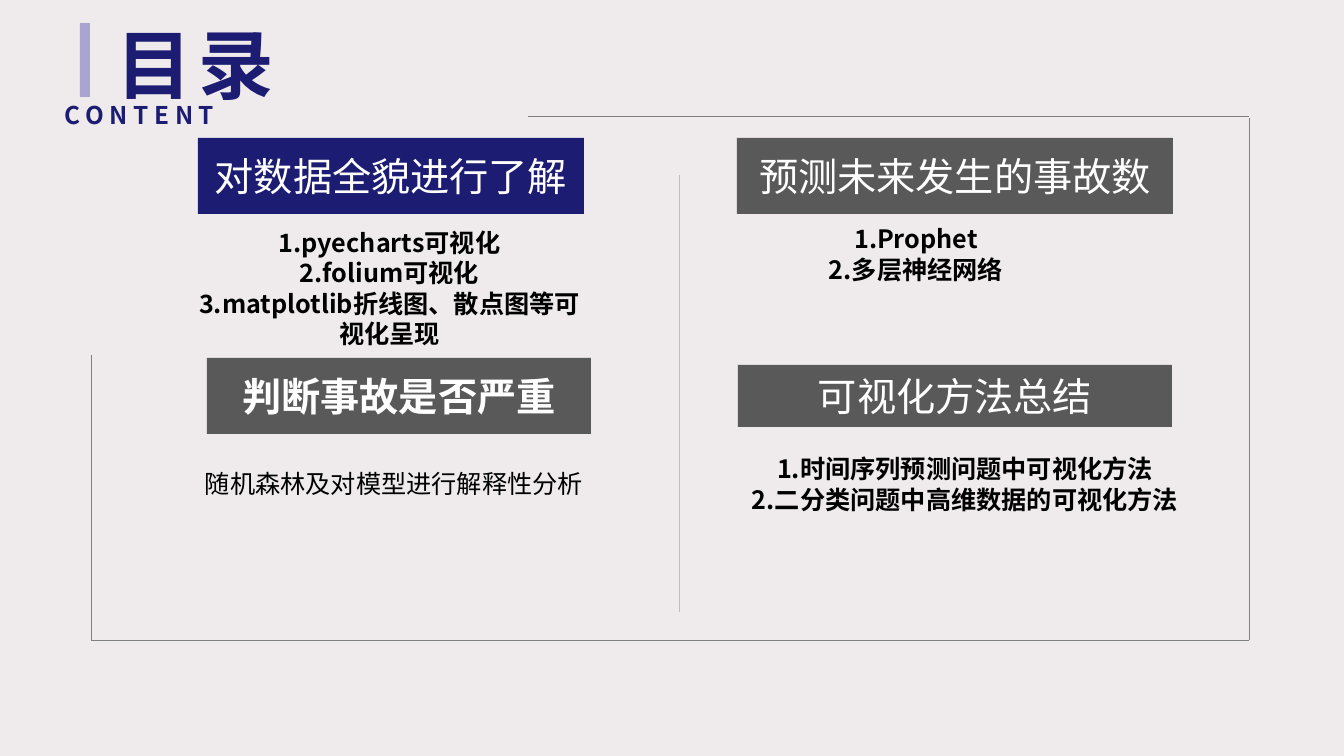
from lxml import etree
from pptx import Presentation
from pptx.dml.color import RGBColor
from pptx.enum.shapes import MSO_CONNECTOR, MSO_SHAPE
from pptx.enum.text import MSO_ANCHOR, MSO_AUTO_SIZE, PP_ALIGN
from pptx.oxml.ns import qn
from pptx.util import Pt

RECTANGLE = MSO_SHAPE.RECTANGLE
STRAIGHT = MSO_CONNECTOR.STRAIGHT
TOP, MIDDLE = MSO_ANCHOR.TOP, MSO_ANCHOR.MIDDLE
LEFT, CENTER, JUSTIFY = PP_ALIGN.LEFT, PP_ALIGN.CENTER, PP_ALIGN.JUSTIFY
NO_AUTOFIT = MSO_AUTO_SIZE.NONE

EMU_PER_PX = 914400 / 100.8
FONT = "Noto Sans CJK SC"
NAVY, LILAC, GREY = "1C1C73", "AAA4D1", "595959"
WHITE, BLACK, BACKGROUND = "FFFFFF", "000000", "EFEBEC"
FRAME_GREY, DIVIDER_GREY = "808080", "BFBFBF"

# Heading box, fill, heading, heading bold, body box, body lines, body bold
SECTIONS = [
    ((198, 138, 386, 76), NAVY, "对数据全貌进行了解", False, (195, 229, 389, 118),
     ["1.pyecharts可视化", "2.folium可视化", "3.matplotlib折线图、散点图等可视化呈现"], True),
    ((737, 138, 436, 76), GREY, "预测未来发生的事故数", False, (768, 199, 296, 110),
     ["1.Prophet", "2.多层神经网络"], True),
    ((207, 358, 384, 76), GREY, "判断事故是否严重", True, (197, 448, 394, 70),
     ["随机森林及对模型进行解释性分析"], False),
    ((738, 365, 434, 62), GREY, "可视化方法总结", False, (738, 413, 454, 142),
     ["1.时间序列预测问题中可视化方法", "2.二分类问题中高维数据的可视化方法"], True),
]

# The frame is open at its upper left corner
FRAME_LINES = [
    (528, 116, 1249, 116),
    (1249, 118, 1249, 640),
    (1249, 640, 91, 640),
    (91, 640, 91, 355),
]


def px(*lengths):
    return [round(length * EMU_PER_PX) for length in lengths]


def color(value):
    return RGBColor.from_string(value)


def set_attributes(target, values):
    for name, value in values.items():
        setattr(target, name, value)


def write_text(shape, lines, size, fill, bold=False, align=CENTER, anchor=MIDDLE,
               wrap=True, insets=(0, 0), line_spacing=1.0, tracking=0):
    frame = shape.text_frame
    horizontal, vertical = px(*insets)
    set_attributes(frame, {
        "auto_size": NO_AUTOFIT, "word_wrap": wrap, "vertical_anchor": anchor,
        "margin_left": horizontal, "margin_right": horizontal,
        "margin_top": vertical, "margin_bottom": vertical,
    })
    for index, line in enumerate(lines):
        paragraph = frame.add_paragraph() if index else frame.paragraphs[0]
        set_attributes(paragraph, {"alignment": align, "line_spacing": line_spacing})
        run = paragraph.add_run()
        run.text = line
        set_attributes(run.font, {"name": FONT, "size": Pt(size), "bold": bold})
        run.font.color.rgb = color(fill)
        properties = run.font._element
        etree.SubElement(properties, qn("a:ea")).set("typeface", FONT)
        if tracking:
            properties.set("spc", str(tracking * 100))


def add_rectangle(slide, box, fill):
    shape = slide.shapes.add_shape(RECTANGLE, *px(*box))
    shape.shadow.inherit = False
    shape.fill.solid()
    shape.fill.fore_color.rgb = color(fill)
    shape.line.fill.background()
    return shape


def add_line(slide, ends, stroke):
    line = slide.shapes.add_connector(STRAIGHT, *px(*ends))
    line.line.color.rgb = color(stroke)
    line.line.width = Pt(0.5)
    etree.SubElement(line._element.spPr, qn("a:effectLst"))


def add_title(slide):
    title = slide.shapes.title
    names = ("left", "top", "width", "height")
    set_attributes(title, dict(zip(names, px(107, 23, 405, 102))))
    write_text(title, ["目录"], 54, NAVY, bold=True, align=LEFT, anchor=TOP,
               insets=(10, 5), line_spacing=0.9, tracking=4)
    subtitle = slide.shapes.add_textbox(*px(55, 98, 175, 40))
    write_text(subtitle, ["CONTENT"], 17.4, NAVY, bold=True, align=JUSTIFY, anchor=TOP,
               wrap=False, insets=(10, 5), line_spacing=0.9, tracking=4)


def add_section(slide, heading_box, fill, heading, heading_bold, body_box, lines, body_bold):
    bar = add_rectangle(slide, heading_box, fill)
    write_text(bar, [heading], 28, WHITE, bold=heading_bold, wrap=False, insets=(13, 7))
    body = slide.shapes.add_textbox(*px(*body_box))
    write_text(body, lines, 18, BLACK, bold=body_bold)


def main():
    presentation = Presentation()
    presentation.slide_width, presentation.slide_height = px(1344, 756)
    slide = presentation.slides.add_slide(presentation.slide_layouts[5])
    slide.background.fill.solid()
    slide.background.fill.fore_color.rgb = color(BACKGROUND)

    # Title with its accent bar
    add_title(slide)
    add_rectangle(slide, (80, 23, 10, 74), LILAC)

    # Divider and frame
    add_line(slide, (679, 175, 679, 612), DIVIDER_GREY)
    for ends in FRAME_LINES:
        add_line(slide, ends, FRAME_GREY)

    # Four sections
    for section in SECTIONS:
        add_section(slide, *section)

    presentation.save("out.pptx")


if __name__ == "__main__":
    main()
